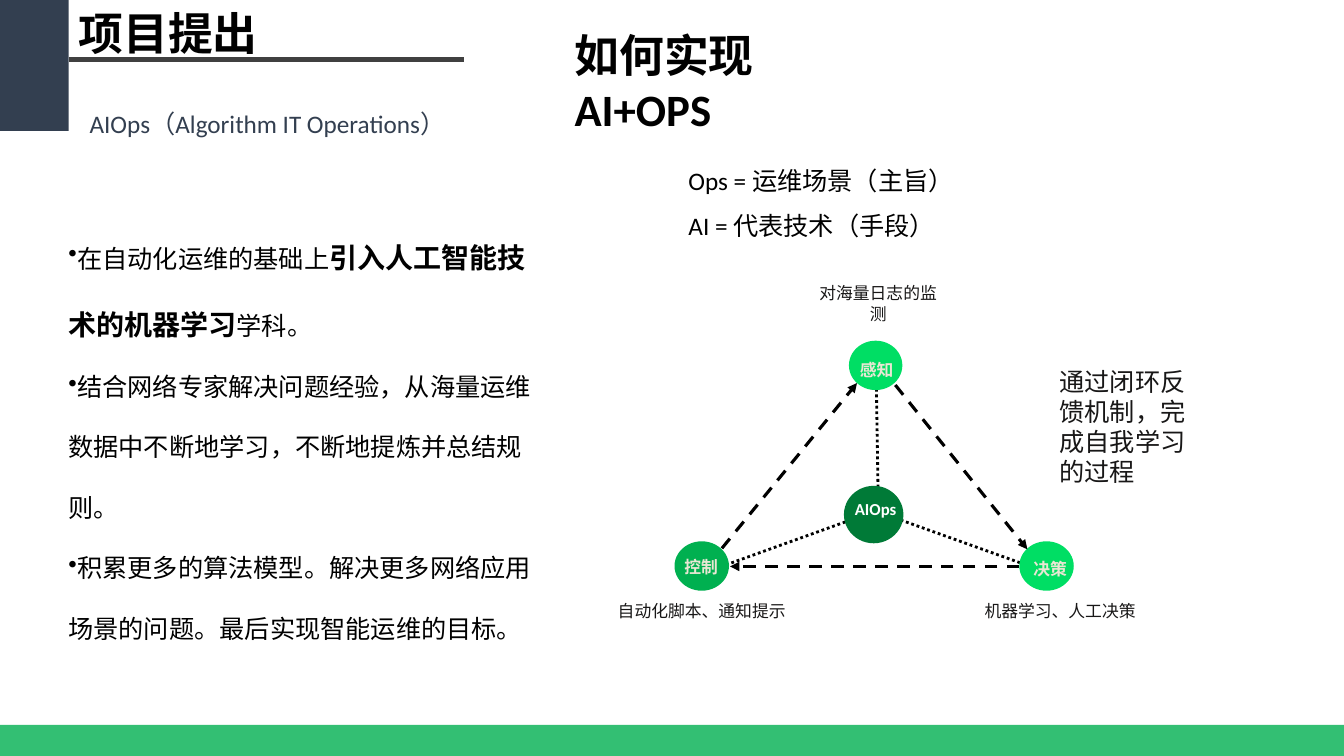
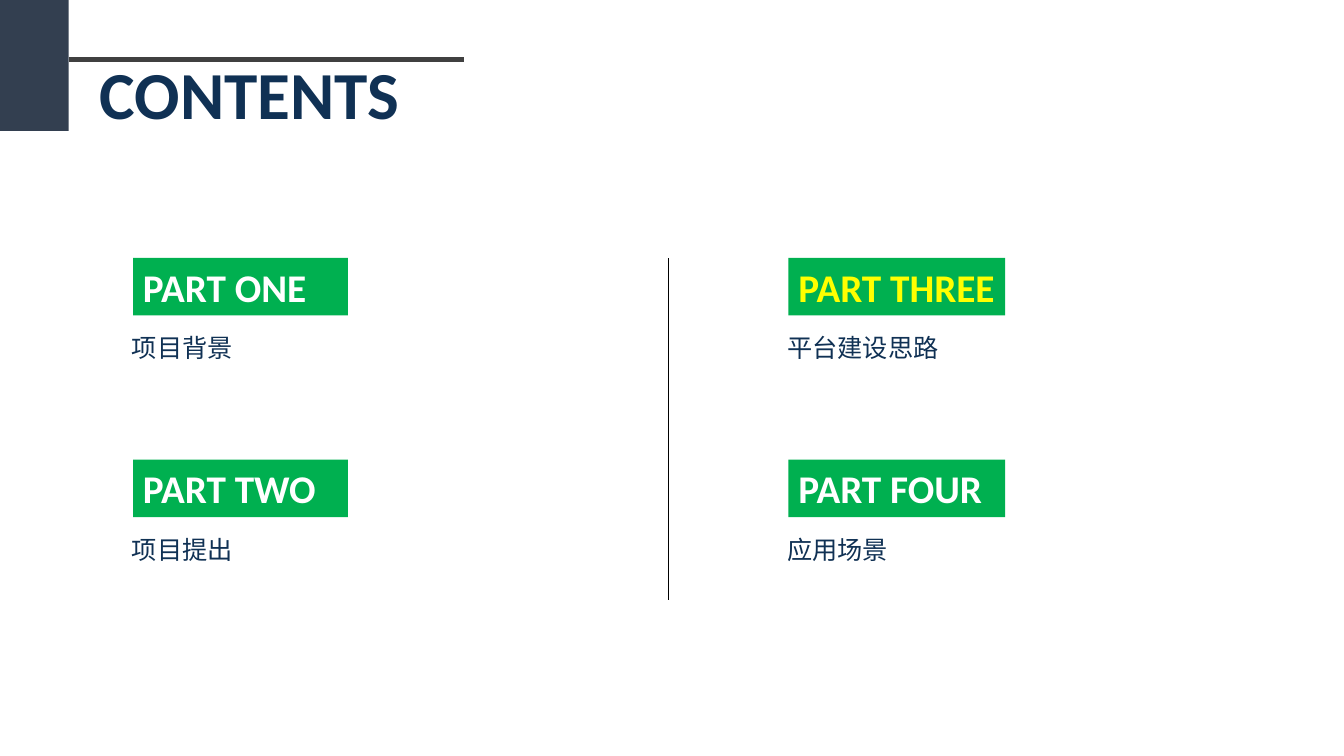
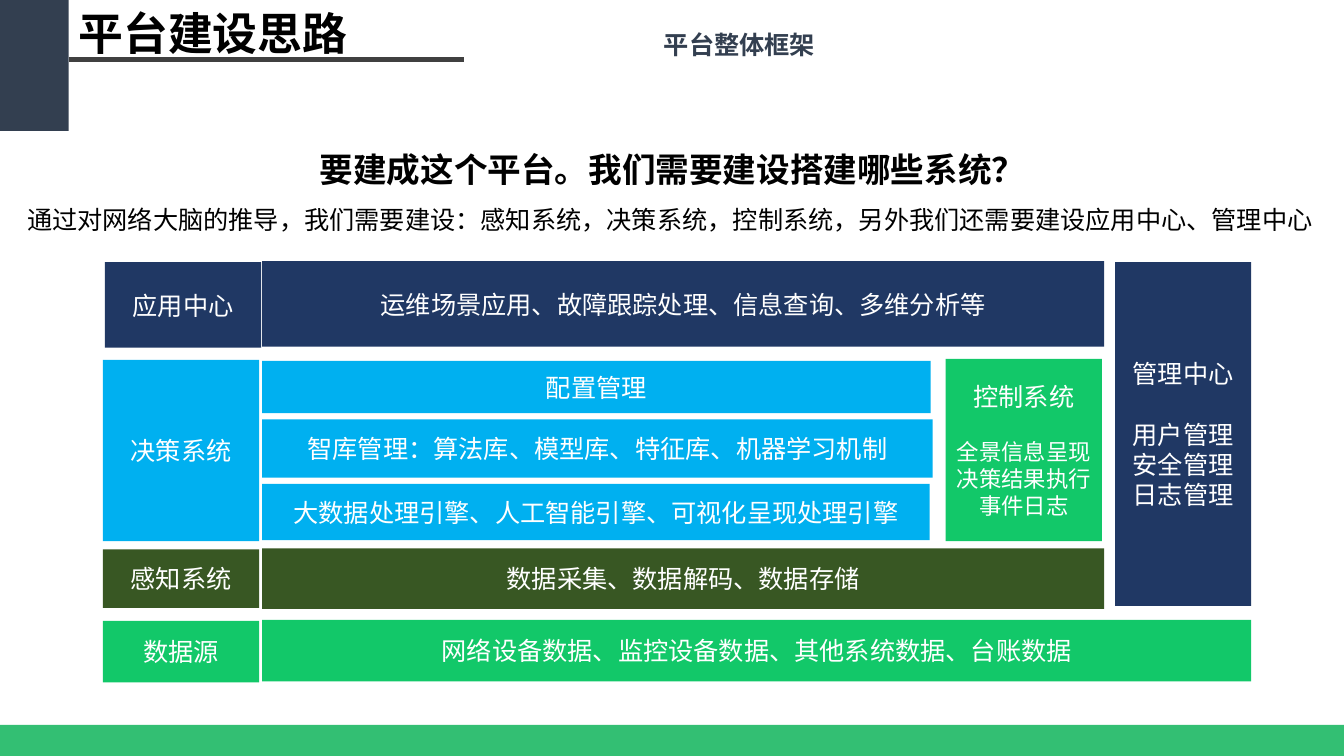
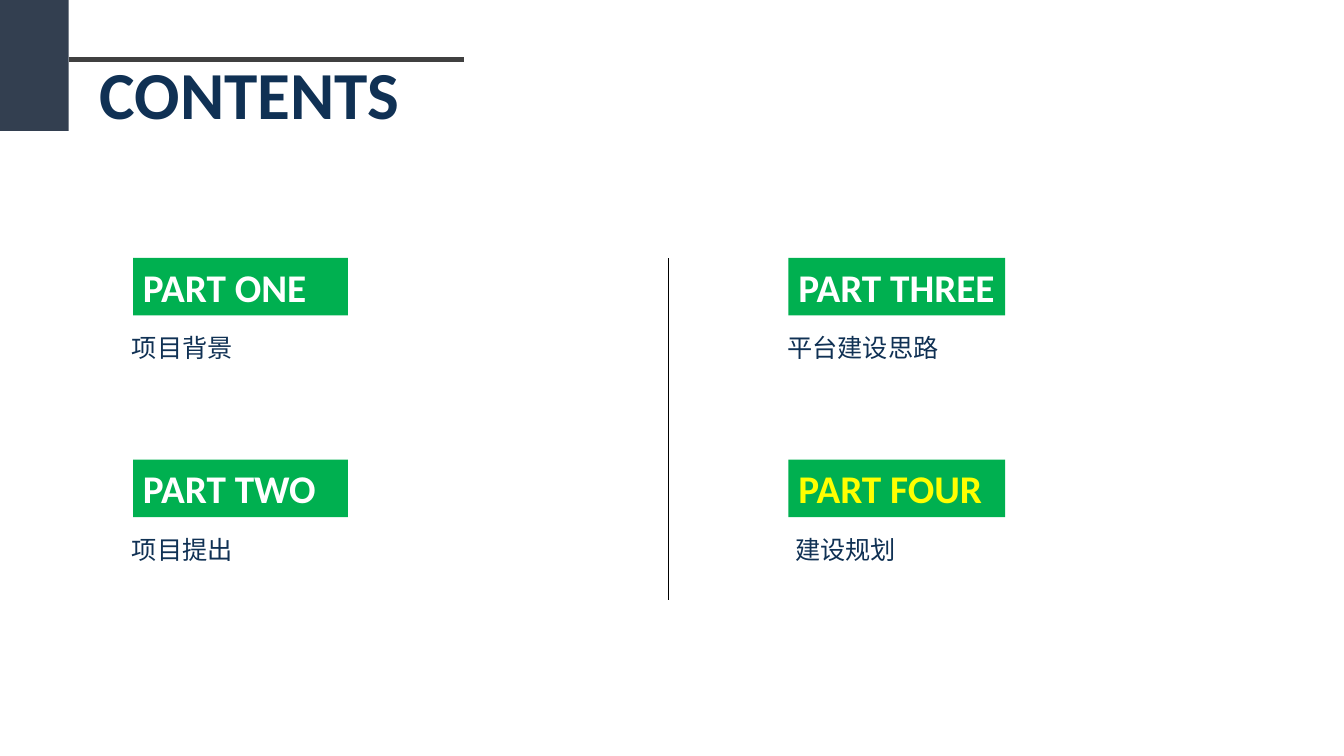
from dataclasses import dataclass, field
from typing import Any, NamedTuple

from lxml import etree
from pptx import Presentation, util as u
from pptx.dml.color import RGBColor
from pptx.enum import dml, shapes, text
from pptx.oxml.ns import qn

COLORS = {
    "black": "000000", "white": "FFFFFF", "slate": "333F50", "rule": "404040",
    "navy": "103154", "ink": "181717", "cream": "EAE7D4", "yellow": "FFFF00",
    "green": "00B050", "bright": "00DE64", "forest": "007A37", "emerald": "12C869",
    "olive": "385723", "sky": "00B0F0", "royal": "203864",
}
LATIN, CJK = "Calibri", "Noto Sans CJK SC"
CENTER = {"alignment": text.PP_ALIGN.CENTER}


class Box(NamedTuple):
    left: float
    top: float
    width: float
    height: float

    def emu(self) -> list[u.Length]:
        return [u.Inches(v) for v in self]


@dataclass
class Run:
    text: str
    size: float = 18
    color: str = "black"
    bold: bool = False
    font: str = LATIN


@dataclass
class Para:
    runs: list[Run]
    fmt: dict[str, Any] = field(default_factory=dict)
    bullet: bool = False
    indent: float = 0


class Link(NamedTuple):
    start: tuple[float, float]
    end: tuple[float, float]


class Node(NamedTuple):
    label: str
    circle: Box
    label_box: Box
    fill: str
    color: str = "cream"


class Block(NamedTuple):
    box: Box
    fill: str
    lines: list[str]
    detail_size: float = 18
    gap: float = 0


class Part(NamedTuple):
    title: str
    caption: str
    left: float
    top: float
    width: float
    caption_shift: float = -0.11


def rgb(name: str) -> RGBColor:
    return RGBColor.from_string(COLORS[name])


def apply(target: Any, values: dict[str, Any]) -> None:
    for name, value in values.items():
        setattr(target, name, value)


def write(tf: Any, paras: list[Para]) -> None:
    for i, para in enumerate(paras):
        p = tf.add_paragraph() if i else tf.paragraphs[0]
        p_pr = p._p.get_or_add_pPr()
        if para.bullet:
            etree.SubElement(p_pr, qn("a:buChar")).set("char", "•")
        if para.indent:
            p_pr.set("indent", str(u.Inches(para.indent)))
        apply(p, para.fmt)
        for run in para.runs:
            r = p.add_run()
            r.text = run.text
            apply(r.font, {"name": run.font, "size": u.Pt(run.size), "bold": run.bold})
            r.font.color.rgb = rgb(run.color)
            etree.SubElement(r._r.get_or_add_rPr(), qn("a:ea")).set("typeface", CJK)


def add_text(s: Any, box: Box, paras: list[Para], wrap: bool = True) -> None:
    tf = s.shapes.add_textbox(*box.emu()).text_frame
    tf.word_wrap = wrap
    write(tf, paras)


def add_shape(s: Any, box: Box, fill: str,
              kind: Any = shapes.MSO_SHAPE.RECTANGLE) -> Any:
    sp = s.shapes.add_shape(kind, *box.emu())
    sp.shadow.inherit = False
    sp.fill.solid()
    sp.fill.fore_color.rgb = rgb(fill)
    sp.line.fill.background()
    return sp


def add_line(s: Any, link: Link, width: float, color: str = "black",
             dash: Any = None, arrow: bool = False) -> None:
    ends = [u.Inches(v) for point in link for v in point]
    line = s.shapes.add_connector(shapes.MSO_CONNECTOR.STRAIGHT, *ends)
    apply(line.line, {"width": u.Pt(width), "dash_style": dash})
    line.line.color.rgb = rgb(color)
    if arrow:
        etree.SubElement(line.line._get_or_add_ln(), qn("a:tailEnd")).set("type", "triangle")
    etree.SubElement(line._element.spPr, qn("a:effectLst"))


def add_frame(s: Any) -> None:
    """Corner block and rule, on every slide."""
    add_shape(s, Box(0, 0, 0.68, 1.3), "slate")
    add_line(s, Link((0.68, 0.59), (4.6, 0.59)), 3, "rule")


def add_topic_frame(s: Any, title: str) -> None:
    """Frame of a topic slide: title above the rule and a footer band."""
    add_frame(s)
    band = add_shape(s, Box(0, 7.19, 13.33, 0.31), "green")
    color = band._element.spPr.find(f".//{qn('a:srgbClr')}")
    etree.SubElement(color, qn("a:alpha")).set("val", "80000")
    add_text(s, Box(0.68, 0.01, 4, 0.64), [Para([Run(title, 32, bold=True, font=CJK)])])


def add_loop(s: Any) -> None:
    """Triangle of linked nodes around AIOps."""
    for link in (Link((8.69, 3.69), (8.71, 4.94)),
                 Link((8.49, 5.14), (7.1, 5.64)),
                 Link((8.88, 5.14), (10.36, 5.67))):
        add_line(s, link, 2, dash=dml.MSO_LINE.ROUND_DOT)
    for caption, box in (("自动化脚本、通知提示", Box(5.74, 5.91, 2.44, 0.3)),
                         ("机器学习、人工决策", Box(9.63, 5.91, 1.77, 0.3)),
                         ("对海量日志的监测", Box(7.96, 2.76, 1.5, 0.5))):
        add_text(s, box, [Para([Run(caption, 12, "ink", font=CJK)], CENTER)])
    for node in (
        Node("AIOps", Box(8.37, 4.82, 0.59, 0.57), Box(8.38, 4.9, 0.66, 0.3), "forest", "white"),
        Node("感知", Box(8.42, 3.38, 0.53, 0.49), Box(8.43, 3.52, 0.54, 0.3), "bright"),
        Node("决策", Box(10.11, 5.37, 0.54, 0.49), Box(10.15, 5.49, 0.54, 0.3), "bright"),
        Node("控制", Box(6.69, 5.37, 0.54, 0.49), Box(6.69, 5.47, 0.54, 0.3), "green"),
    ):
        add_shape(s, node.circle, node.fill, shapes.MSO_SHAPE.OVAL)
        add_text(s, node.label_box, [Para([Run(node.label, 12, node.color, True)])], wrap=False)
    for link in (Link((8.88, 3.82), (10.19, 5.45)),
                 Link((10.11, 5.62), (7.24, 5.62)),
                 Link((7.16, 5.44), (8.5, 3.8))):
        add_line(s, link, 2.25, dash=dml.MSO_LINE.DASH, arrow=True)


def proposal_slide(s: Any) -> None:
    add_loop(s)
    add_topic_frame(s, "项目提出")
    add_text(s, Box(10.41, 3.58, 1.51, 1.31),
             [Para([Run("通过闭环反馈机制，完成自我学习的过程", color="ink")])])
    add_text(s, Box(0.79, 1.03, 4.31, 0.4),
             [Para([Run("AIOps（Algorithm IT Operations）", color="slate")])])
    add_text(s, Box(6.23, 1.44, 4.56, 1.01),
             [Para([Run(line)], {"line_spacing": 1.5}, indent=0.5)
              for line in ("Ops = 运维场景（主旨）", "AI = 代表技术（手段）")])
    add_text(s, Box(5.6, 0.23, 2.2, 1.17), [Para([Run("如何实现AI+OPS", 32, bold=True)])])
    points = [
        [Run("在自动化运维的基础上"), Run("引入人工智能技术的机器学习", 20, bold=True), Run("学科。")],
        [Run("结合网络专家解决问题经验，从海量运维数据中不断地学习，不断地提炼并总结规则。")],
        [Run("积累更多的算法模型。解决更多网络应用场景的问题。最后实现智能运维的目标。")],
    ]
    add_text(s, Box(0.58, 2, 4.87, 4.48),
             [Para(runs, {"line_spacing": 2.0}, bullet=True) for runs in points])


def contents_slide(s: Any, current: str, last: Part) -> None:
    """Four parts in two columns, the current one in yellow."""
    add_text(s, Box(0.89, 0.47, 3.21, 0.91),
             [Para([Run("CONTENTS", 48, "navy", True)])], wrap=False)
    for part in (Part("PART ONE", "项目背景", 1.32, 2.56, 2.13),
                 Part("PART TWO", "项目提出", 1.32, 4.56, 2.13),
                 Part("PART THREE", "平台建设思路", 7.82, 2.56, 2.15),
                 last):
        tab = add_shape(s, Box(part.left, part.top, part.width, 0.57), "green")
        apply(tab.text_frame, {"word_wrap": True, "vertical_anchor": text.MSO_ANCHOR.TOP})
        color = "yellow" if part.title == current else "white"
        write(tab.text_frame, [Para([Run(part.title, 28, color, True)],
                                    {"alignment": text.PP_ALIGN.LEFT})])
        add_text(s, Box(part.left + part.caption_shift, part.top + 0.6, 4.54, 0.46),
                 [Para([Run(part.caption, color="navy", font=CJK)], {"line_spacing": 1.3})])
    add_line(s, Link((6.63, 2.56), (6.63, 5.95)), 1)
    add_frame(s)


def add_block(s: Any, block: Block) -> None:
    """Filled box: a heading, then detail lines set off by a gap."""
    tf = add_shape(s, block.box, block.fill).text_frame
    apply(tf, {"word_wrap": True, "vertical_anchor": text.MSO_ANCHOR.MIDDLE})
    paras = []
    for i, line in enumerate(block.lines):
        fmt = CENTER | ({"space_before": u.Pt(block.gap)} if i == 1 else {})
        paras.append(Para([Run(line, block.detail_size if i else 18, "white")], fmt))
    write(tf, paras)


def framework_slide(s: Any) -> None:
    add_topic_frame(s, "平台建设思路")
    add_text(s, Box(4.93, 0.24, 4.81, 0.4),
             [Para([Run("平台整体框架", color="slate", bold=True)], CENTER)])
    add_text(s, Box(0.17, 1.23, 13, 1.16), [
        Para([Run("要建成这个平台。我们需要建设搭建哪些系统？", 24, bold=True)],
             CENTER | {"line_spacing": 1.5}),
        Para([Run("通过对网络大脑的推导，我们需要建设：感知系统，决策系统，控制系统，"
                  "另外我们还需要建设应用中心、管理中心")], {"line_spacing": 1.5}),
    ])
    for block in (
        Block(Box(1.04, 2.6, 1.55, 0.85), "royal", ["应用中心"]),
        Block(Box(2.6, 2.59, 8.35, 0.85), "royal",
              ["运维场景应用、故障跟踪处理、信息查询、多维分析等"]),
        Block(Box(1.02, 3.57, 1.55, 1.8), "sky", ["决策系统"]),
        Block(Box(2.6, 3.58, 6.63, 0.52), "sky", ["配置管理"]),
        Block(Box(2.6, 4.16, 6.65, 0.58), "sky",
              ["智库管理：算法库、模型库、特征库、机器学习机制"]),
        Block(Box(2.6, 4.8, 6.62, 0.56), "sky",
              ["大数据处理引擎、人工智能引擎、可视化呈现处理引擎"]),
        Block(Box(1.02, 5.45, 1.55, 0.58), "olive", ["感知系统"]),
        Block(Box(2.6, 5.44, 8.35, 0.6), "olive", ["数据采集、数据解码、数据存储"]),
        Block(Box(1.02, 6.16, 1.55, 0.61), "emerald", ["数据源"]),
        Block(Box(2.6, 6.15, 9.81, 0.61), "emerald",
              ["网络设备数据、监控设备数据、其他系统数据、台账数据"]),
        Block(Box(9.38, 3.56, 1.55, 1.81), "emerald",
              ["控制系统", "全景信息呈现", "决策结果执行", "事件日志"], 16, 19),
        Block(Box(11.06, 2.6, 1.35, 3.41), "royal",
              ["管理中心", "用户管理", "安全管理", "日志管理"], 18, 22),
    ):
        add_block(s, block)


def main() -> None:
    prs = Presentation()
    apply(prs, {"slide_width": u.Inches(13.33), "slide_height": u.Inches(7.5)})
    slides = [prs.slides.add_slide(prs.slide_layouts[6]) for _ in range(4)]
    proposal_slide(slides[0])
    contents_slide(slides[1], "PART THREE", Part("PART FOUR", "应用场景", 7.82, 4.56, 2.15))
    framework_slide(slides[2])
    contents_slide(slides[3], "PART FOUR",
                   Part("PART FOUR", "建设规划", 7.82, 4.56, 2.15, caption_shift=-0.03))
    prs.save("out.pptx")


if __name__ == "__main__":
    main()
